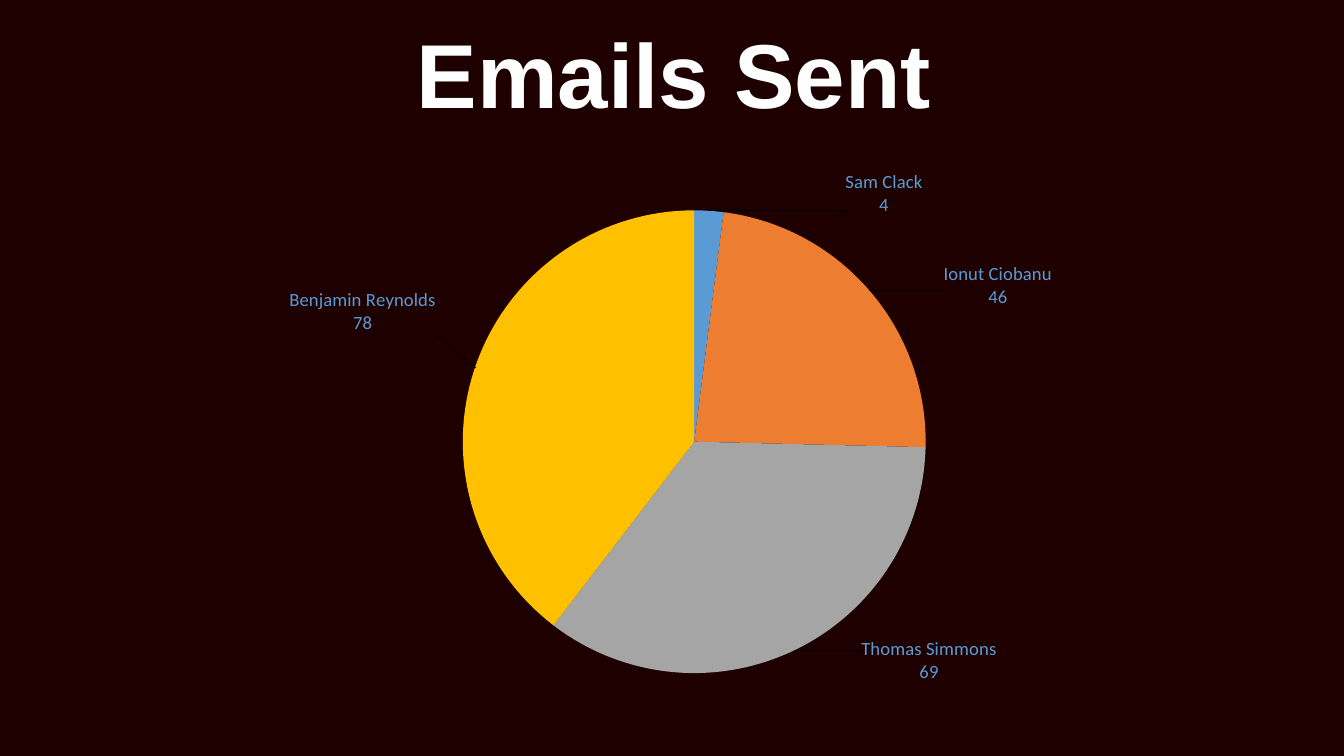
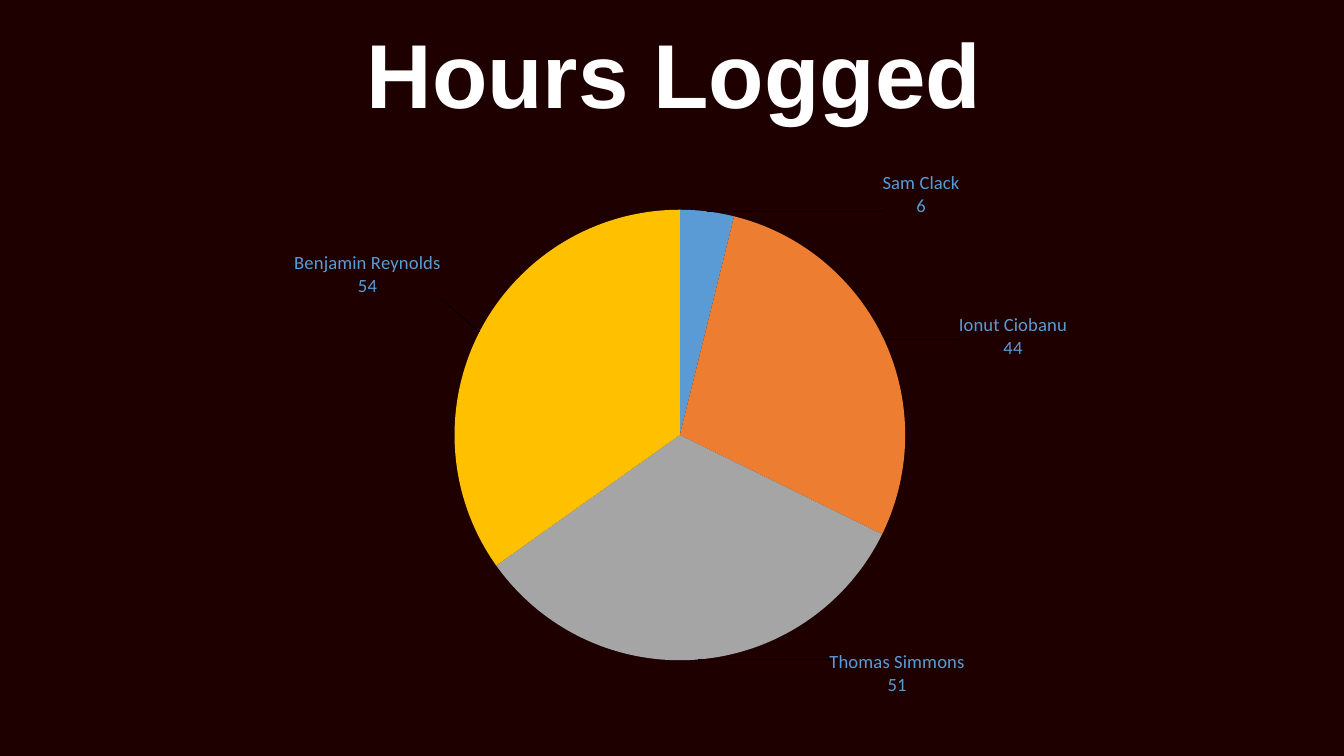
"""Build two slides that compare the team by emails sent and hours logged."""
from dataclasses import dataclass

from lxml import etree
from pptx import Presentation
from pptx.chart.data import CategoryChartData
from pptx.dml.color import RGBColor
from pptx.enum.chart import XL_CHART_TYPE, XL_LABEL_POSITION
from pptx.enum.text import MSO_ANCHOR, MSO_AUTO_SIZE, PP_ALIGN
from pptx.oxml.ns import qn
from pptx.util import Inches, Pt

PIE = XL_CHART_TYPE.PIE
OUTSIDE_END = XL_LABEL_POSITION.OUTSIDE_END
CENTER = PP_ALIGN.CENTER
MIDDLE = MSO_ANCHOR.MIDDLE
NO_AUTOFIT = MSO_AUTO_SIZE.NONE
TITLE_ONLY = 5


@dataclass(frozen=True)
class Theme:
    background: RGBColor = RGBColor.from_string("1E0000")
    title: RGBColor = RGBColor.from_string("FFFFFF")
    label: RGBColor = RGBColor.from_string("5B9BD5")
    leader: RGBColor = RGBColor.from_string("BFBFBF")
    slices: tuple = ("5B9BD5", "ED7D31", "A5A5A5", "FFC000")
    title_font: str = "Arial"
    chart_font: str = "Calibri"
    title_size: Pt = Pt(64.8)
    label_size: Pt = Pt(13.3)


THEME = Theme()
PEOPLE = ("Sam Clack", "Ionut Ciobanu", "Thomas Simmons", "Benjamin Reynolds")
SAM_SHIFT, IONUT_SHIFT, BENJAMIN_SHIFT = (14.6, 2.1), (5.8, 3.8), (-2.8, -5.3)
CHARTS = (
    ("Emails Sent", (4, 46, 69, 78), (33.3, 11.2, 38.7, 79.5), (5.4, -3.1)),
    ("Hours Logged", (6, 44, 51, 54), (32.6, 11.1, 37.7, 77.4), (16.6, -2.5)),
)


def manual_layout(percentages, inner=False):
    """Return a chart layout element from percentages of the chart area."""
    layout = etree.Element(qn("c:layout"))
    manual = etree.SubElement(layout, qn("c:manualLayout"))
    settings = [("layoutTarget", "inner"), ("xMode", "edge"), ("yMode", "edge")] if inner else []
    settings += [(name, f"{value / 100:.3f}") for name, value in zip("xywh", percentages)]
    for name, value in settings:
        etree.SubElement(manual, qn(f"c:{name}")).set("val", value)
    return layout


presentation = Presentation()
presentation.slide_width = Inches(13.33)
presentation.slide_height = Inches(7.5)
width, height = presentation.slide_width, presentation.slide_height
master_fill = presentation.slide_master.background.fill
master_fill.solid()
master_fill.fore_color.rgb = THEME.background

for heading, values, pie_area, thomas_shift in CHARTS:
    slide = presentation.slides.add_slide(presentation.slide_layouts[TITLE_ONLY])

    title = slide.shapes.title
    title.left, title.top = int(width * 0.125), int(height * 0.043)
    title.width, title.height = int(width * 0.753), int(height * 0.123)
    frame = title.text_frame
    frame.auto_size = NO_AUTOFIT
    frame.vertical_anchor = MIDDLE
    paragraph = frame.paragraphs[0]
    paragraph.alignment = CENTER
    paragraph.line_spacing = 0.9
    run = paragraph.add_run()
    run.text = heading
    run.font.name = THEME.title_font
    run.font.size = THEME.title_size
    run.font.bold = True
    run.font.color.rgb = THEME.title

    data = CategoryChartData()
    data.categories = PEOPLE
    data.add_series("Series 1", values)
    chart = slide.shapes.add_chart(
        PIE, int(width * 0.048), int(height * 0.192), int(width * 0.89), int(height * 0.77), data
    ).chart
    chart.has_legend = False
    chart.has_title = False
    chart.font.name = THEME.chart_font
    chart.font.size = THEME.label_size
    plot = chart.plots[0]
    plot.vary_by_categories = True

    plot_area = chart.element.find(".//" + qn("c:plotArea"))
    for automatic in plot_area.findall(qn("c:layout")):
        plot_area.remove(automatic)
    plot_area.insert(0, manual_layout(pie_area, inner=True))

    series = plot.series[0]
    labels = series.data_labels
    labels.show_value = True
    labels.show_category_name = True
    labels.position = OUTSIDE_END
    labels.font.size = THEME.label_size
    labels.font.color.rgb = THEME.leader

    shifts = (SAM_SHIFT, IONUT_SHIFT, thomas_shift, BENJAMIN_SHIFT)
    for index, (color, shift) in enumerate(zip(THEME.slices, shifts)):
        point = series.points[index]
        point.format.fill.solid()
        point.format.fill.fore_color.rgb = RGBColor.from_string(color)
        point.format.line.fill.background()
        label = point.data_label
        label.font.name = THEME.chart_font
        label.font.size = THEME.label_size
        label.font.color.rgb = THEME.label
        label.position = OUTSIDE_END

    label_elements = chart.element.findall(".//" + qn("c:dLbl"))
    for element, shift in zip(label_elements, shifts):
        element.insert(1, manual_layout(shift))
        element.find(qn("c:showCatName")).set("val", "1")
        etree.SubElement(element, qn("c:separator")).text = "\n"

presentation.save("out.pptx")
